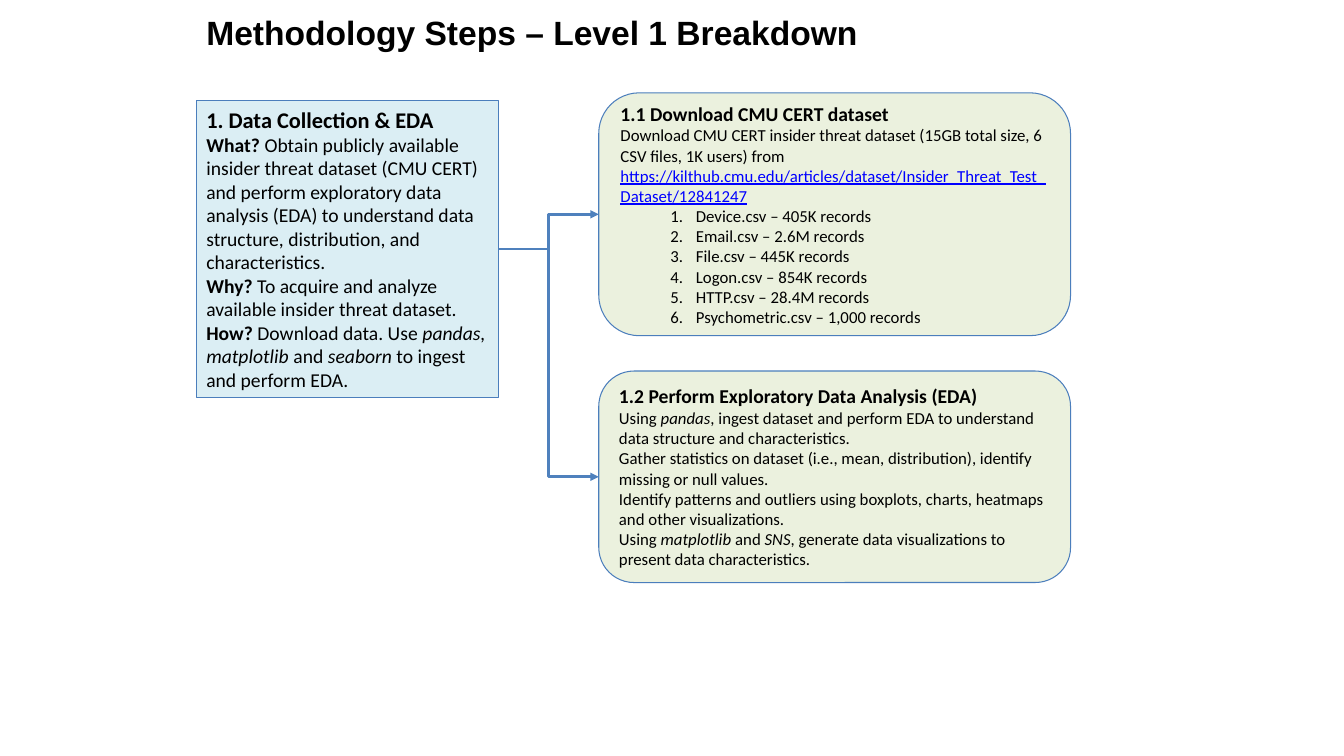
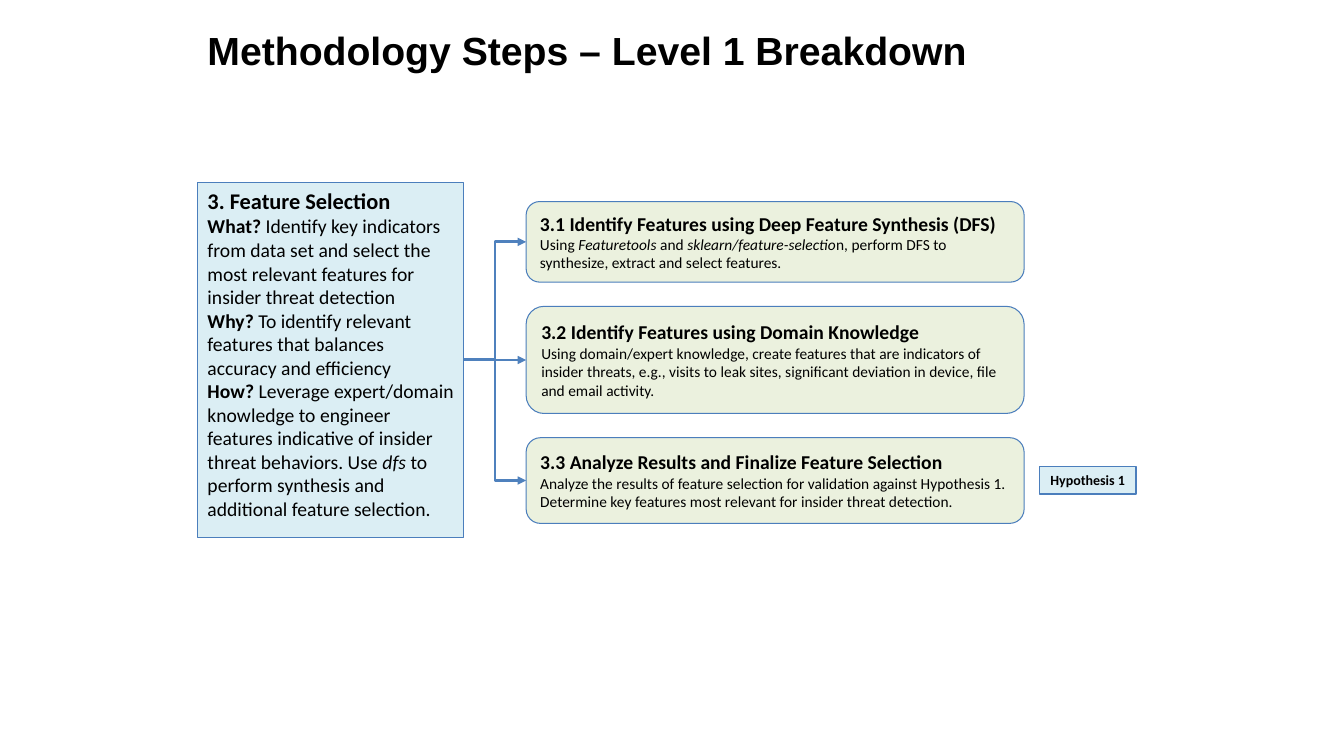
from lxml.etree import SubElement
from pptx import Presentation
from pptx.dml.color import RGBColor
from pptx.enum.shapes import MSO_CONNECTOR, MSO_SHAPE
from pptx.enum.text import MSO_ANCHOR, PP_ALIGN
from pptx.oxml.ns import qn
from pptx.util import Cm, Pt

# Shared look
COLOURS = {"text": "000000", "link": "0000FF", "step": "DBEEF4",
           "card": "EBF1DE", "outline": "4B7EBC", "arrow": "4F81BD"}
FORMATS = {"plain": {}, "bold": {"bold": True}, "italic": {"italic": True},
           "link": {"underline": True}}
TITLE = "Methodology Steps – Level 1 Breakdown"
RIGHT_SIDE, LEFT_SIDE = 3, 1  # connection sites

# Content: a paragraph is a list of (text, format) spans
PAGES = [
    {
        "title": {"place": (4.95, 0.18, 21.54, 1.35), "size": 24},
        "step": {
            "place": (4.95, 2.54, 7.62, 7.47),
            "heading": "1. Data Collection & EDA",
            "body": [
                [("What?", "bold"),
                 (" Obtain publicly available insider threat dataset (CMU CERT) and perform "
                  "exploratory data analysis (EDA) to understand data structure, "
                  "distribution, and characteristics.", "plain")],
                [("Why?", "bold"),
                 (" To acquire and analyze available insider threat dataset.", "plain")],
                [("How?", "bold"), (" Download data. Use ", "plain"),
                 ("pandas, matplotlib", "italic"), (" and ", "plain"),
                 ("seaborn", "italic"), (" to ingest and perform EDA.", "plain")],
            ],
        },
        "cards": {"left": 15.09, "top": 2.34, "width": 11.89, "gap": 0.89, "size": 12},
        "substeps": [
            {
                "height": 6.12,
                "heading": "1.1 Download CMU CERT dataset",
                "body": [
                    [("Download CMU CERT insider threat dataset (15GB total size, 6 CSV files, "
                      "1K users) from ", "plain"),
                     ("https://kilthub.cmu.edu/articles/dataset/"
                      "Insider_Threat_Test_Dataset/12841247", "link")],
                ],
                "numbered": ["Device.csv – 405K records", "Email.csv – 2.6M records",
                             "File.csv – 445K records", "Logon.csv – 854K records",
                             "HTTP.csv – 28.4M records", "Psychometric.csv – 1,000 records"],
            },
            {
                "height": 5.33,
                "heading": "1.2 Perform Exploratory Data Analysis (EDA)",
                "body": [
                    [("Using ", "plain"), ("pandas", "italic"),
                     (", ingest dataset and perform EDA to understand data structure and "
                      "characteristics.", "plain")],
                    [("Gather statistics on dataset (i.e., mean, distribution), identify "
                      "missing or null values.", "plain")],
                    [("Identify patterns and outliers using boxplots, charts, heatmaps and "
                      "other visualizations.", "plain")],
                    [("Using ", "plain"), ("matplotlib ", "italic"), ("and ", "plain"),
                     ("SNS", "italic"),
                     (", generate data visualizations to present data characteristics.",
                      "plain")],
                ],
            },
        ],
    },
    {
        "title": {"place": (4.98, 0.53, 23.14, 2.92), "size": 28},
        "step": {
            "place": (4.98, 4.6, 6.71, 8.94),
            "heading": "3. Feature Selection",
            "body": [
                [("What? ", "bold"),
                 ("Identify key indicators from data set and select the most relevant "
                  "features for insider threat detection", "plain")],
                [("Why? ", "bold"),
                 ("To identify relevant features that balances accuracy and efficiency",
                  "plain")],
                [("How?", "bold"),
                 (" Leverage expert/domain knowledge to engineer features indicative of "
                  "insider threat behaviors. Use ", "plain"),
                 ("dfs", "italic"),
                 (" to perform synthesis and additional feature selection.", "plain")],
            ],
        },
        "cards": {"left": 13.26, "top": 5.08, "width": 12.55, "gap": 0.61, "size": 11},
        "substeps": [
            {
                "height": 2.03,
                "heading": "3.1 Identify Features using Deep Feature Synthesis (DFS)",
                "body": [
                    [("Using ", "plain"), ("Featuretools", "italic"), (" and ", "plain"),
                     ("sklearn/feature-selectio", "italic"),
                     ("n, perform DFS to synthesize, extract and select features.", "plain")],
                ],
            },
            {
                "height": 2.7,
                "heading": "3.2 Identify Features using Domain Knowledge",
                "body": [
                    [("Using domain/expert knowledge, create features that are indicators of "
                      "insider threats, e.g., visits to leak sites, significant deviation in "
                      "device, file and email activity.", "plain")],
                ],
            },
            {
                "height": 2.16,
                "heading": "3.3 Analyze Results and Finalize Feature Selection",
                "body": [
                    [("Analyze the results of feature selection for validation against "
                      "Hypothesis 1. Determine key features most relevant for insider threat "
                      "detection.", "plain")],
                ],
            },
        ],
        "tag": {"place": (26.19, 11.76, 2.44, 0.69), "text": "Hypothesis 1"},
    },
]


def colour(name):
    return RGBColor.from_string(COLOURS[name])


def write(box, lines, anchor=MSO_ANCHOR.MIDDLE, align=PP_ALIGN.LEFT, font="Calibri"):
    """Fill a box with lines of (spans, size, numbered); style the box if it is a shape."""
    frame = box.text_frame
    frame.word_wrap = True
    frame.vertical_anchor = anchor
    for index, (spans, size, numbered) in enumerate(lines):
        para = frame.add_paragraph() if index else frame.paragraphs[0]
        para.alignment = align
        if numbered:
            para.level = 1
            properties = para._p.get_or_add_pPr()
            properties.set("marL", str(Cm(1.9)))
            properties.set("indent", str(-Cm(0.64)))
            SubElement(properties, qn("a:buAutoNum"), type="arabicPeriod")
        for text, style in spans:
            span = para.add_run()
            span.text = text
            span.font.color.rgb = colour("link" if style == "link" else "text")
            values = {"name": font, "size": Pt(size), "bold": False, **FORMATS[style]}
            for key, value in values.items():
                setattr(span.font, key, value)


def add_box(page, preset, place, fill):
    box = page.shapes.add_shape(preset, *[Cm(length) for length in place])
    box.shadow.inherit = False
    box.fill.solid()
    box.fill.fore_color.rgb = colour(fill)
    box.line.color.rgb = colour("outline")
    box.line.width = Pt(0.75)
    return box


deck = Presentation()
deck.slide_width, deck.slide_height = Cm(33.87), Cm(19.05)

for content in PAGES:
    page = deck.slides.add_slide(deck.slide_layouts[6])

    # Title
    title = content["title"]
    title_box = page.shapes.add_textbox(*[Cm(length) for length in title["place"]])
    write(title_box, [([(TITLE, "bold")], title["size"], False)], MSO_ANCHOR.TOP, font="Arial")

    # Main step
    step = content["step"]
    step_box = add_box(page, MSO_SHAPE.RECTANGLE, step["place"], "step")
    lines = [([(step["heading"], "bold")], 16, False)]
    lines += [(spans, 14, False) for spans in step["body"]]
    write(step_box, lines, MSO_ANCHOR.TOP)

    # Substep cards, stacked with an equal gap, each with its arrow
    cards = content["cards"]
    top = cards["top"]
    for substep in content["substeps"]:
        place = (cards["left"], top, cards["width"], substep["height"])
        card = add_box(page, MSO_SHAPE.ROUNDED_RECTANGLE, place, "card")
        lines = [([(substep["heading"], "bold")], 14, False)]
        lines += [(spans, cards["size"], False) for spans in substep["body"]]
        lines += [([(text, "plain")], cards["size"], True)
                  for text in substep.get("numbered", [])]
        write(card, lines)
        top += substep["height"] + cards["gap"]

        arrow = page.shapes.add_connector(MSO_CONNECTOR.ELBOW, 0, 0, 0, 0)
        arrow.begin_connect(step_box, RIGHT_SIDE)
        arrow.end_connect(card, LEFT_SIDE)
        arrow.line.color.rgb = colour("arrow")
        arrow.line.width = Pt(2)
        SubElement(arrow.line._get_or_add_ln(), qn("a:tailEnd"), type="triangle")
        SubElement(arrow._element.spPr, qn("a:effectLst"))

    # Hypothesis tag
    if "tag" in content:
        tag = add_box(page, MSO_SHAPE.RECTANGLE, content["tag"]["place"], "step")
        write(tag, [([(content["tag"]["text"], "bold")], 10, False)], align=PP_ALIGN.CENTER)

deck.save("out.pptx")
